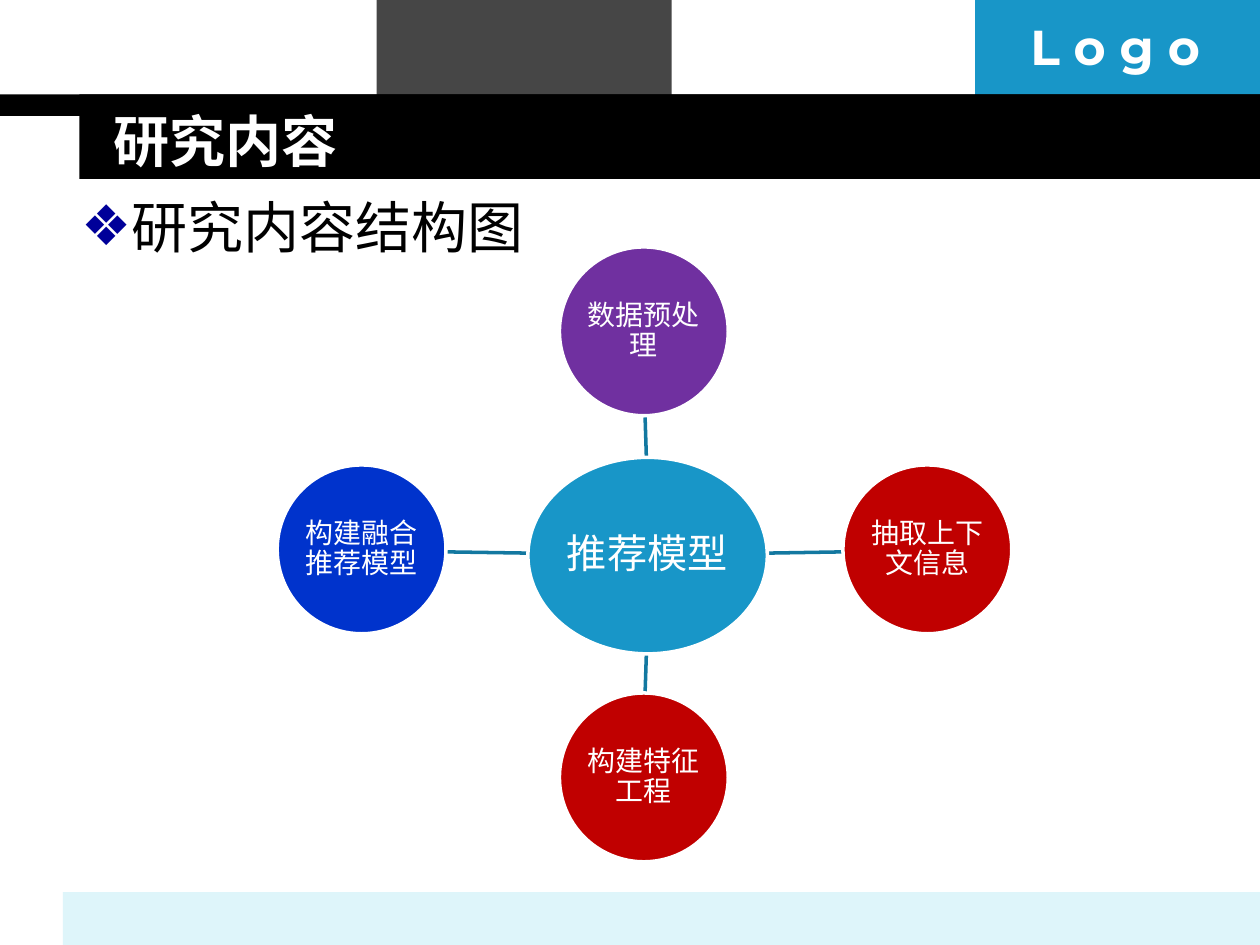
from dataclasses import dataclass

from lxml import etree
from pptx import Presentation
from pptx.dml.color import RGBColor
from pptx.enum.shapes import MSO_CONNECTOR, MSO_SHAPE
from pptx.enum.text import MSO_ANCHOR, PP_ALIGN
from pptx.oxml.ns import qn
from pptx.util import Inches, Pt


@dataclass(frozen=True)
class Theme:
    white: str = "FFFFFF"
    black: str = "000000"
    grey: str = "464646"
    blue: str = "1896C8"
    pale: str = "DEF5FA"
    spoke: str = "1378A0"
    purple: str = "7030A0"
    red: str = "C00000"
    royal: str = "0033CC"
    bullet: str = "000099"
    heading: int = 32
    logo: int = 28
    hub: int = 23
    topic: int = 16
    body_font: str = "Arial"
    title_font: str = "DejaVu Sans"
    logo_font: str = "Montserrat"


theme = Theme()
prs = Presentation()
prs.slide_width, prs.slide_height = Inches(10), Inches(7.5)
slide = prs.slides.add_slide(prs.slide_layouts[6])


def add_filled(kind, box, color):
    shape = slide.shapes.add_shape(kind, *map(Inches, box))
    shape.shadow.inherit = False
    shape.fill.solid()
    shape.fill.fore_color.rgb = RGBColor.from_string(color)
    shape.line.fill.background()
    return shape


def write(shape, text, size, color, font, bold=False):
    shape.text_frame.word_wrap = True
    paragraph = shape.text_frame.paragraphs[0]
    paragraph.text = text
    paragraph.font.size = Pt(size)
    paragraph.font.name = font
    paragraph.font.bold = bold
    paragraph.font.color.rgb = RGBColor.from_string(color)
    return paragraph


# Header and footer bands
for box, color in (
    ((2.99, 0, 2.34, 0.92), theme.grey),
    ((7.74, 0, 2.26, 0.92), theme.blue),
    ((0.5, 7.08, 9.5, 0.42), theme.pale),
    ((0, 0.75, 10, 0.17), theme.black),
    ((0.63, 0.75, 9.37, 0.67), theme.black),
):
    add_filled(MSO_SHAPE.RECTANGLE, box, color)

# Logo word, title and subheading
logo = slide.shapes.add_textbox(Inches(8.08), Inches(0.08), Inches(1.93), Inches(0.57))
write(logo, "L o g o", theme.logo, theme.white, theme.logo_font, bold=True)

title = slide.shapes.add_textbox(Inches(0.8), Inches(0.8), Inches(8.53), Inches(0.62))
title.text_frame.vertical_anchor = MSO_ANCHOR.MIDDLE
write(title, "研究内容", theme.heading, theme.white, theme.title_font, bold=True)

subheading = slide.shapes.add_textbox(Inches(0.55), Inches(1.48), Inches(9), Inches(5.34))
line = write(subheading, "研究内容结构图", theme.heading, theme.black, theme.body_font)
line.space_before = Pt(6.4)
properties = line._p.get_or_add_pPr()
properties.set("marL", str(Inches(0.37)))
properties.set("indent", str(-Inches(0.37)))
bullet_color = etree.SubElement(properties, qn("a:buClr"))
etree.SubElement(bullet_color, qn("a:srgbClr"), val=theme.bullet)
etree.SubElement(properties, qn("a:buFont"), typeface=theme.body_font)
etree.SubElement(properties, qn("a:buChar"), char="❖")

# Spokes: from the hub to each topic
for ends in (
    (5.13, 3.63, 5.12, 3.31),
    (6.09, 4.39, 6.69, 4.38),
    (5.13, 5.19, 5.12, 5.5),
    (4.19, 4.39, 3.54, 4.38),
):
    spoke = slide.shapes.add_connector(MSO_CONNECTOR.STRAIGHT, *map(Inches, ends))
    spoke.line.color.rgb = RGBColor.from_string(theme.spoke)
    spoke.line.width = Pt(2)
    etree.SubElement(spoke._element.spPr, qn("a:effectLst"))

# Hub and the topics around it
TOPIC = 1.34
for text, left, top, width, height, color, size in (
    ("推荐模型", 4.19, 3.63, 1.9, 1.56, theme.blue, theme.hub),
    ("数据预处理", 4.44, 1.96, TOPIC, TOPIC, theme.purple, theme.topic),
    ("抽取上下文信息", 6.69, 3.69, TOPIC, TOPIC, theme.red, theme.topic),
    ("构建特征工程", 4.44, 5.5, TOPIC, TOPIC, theme.red, theme.topic),
    ("构建融合推荐模型", 2.2, 3.69, TOPIC, TOPIC, theme.royal, theme.topic),
):
    circle = add_filled(MSO_SHAPE.OVAL, (left, top, width, height), color)
    circle.line.color.rgb = RGBColor.from_string(theme.white)
    circle.line.width = Pt(2)
    frame = circle.text_frame
    frame.margin_left = frame.margin_right = Inches(0.01)
    frame.margin_top = frame.margin_bottom = Inches(0.01)
    frame.vertical_anchor = MSO_ANCHOR.MIDDLE
    label = write(circle, text, size, theme.white, theme.body_font)
    label.alignment = PP_ALIGN.CENTER
    label.line_spacing = 0.9

prs.save("out.pptx")
